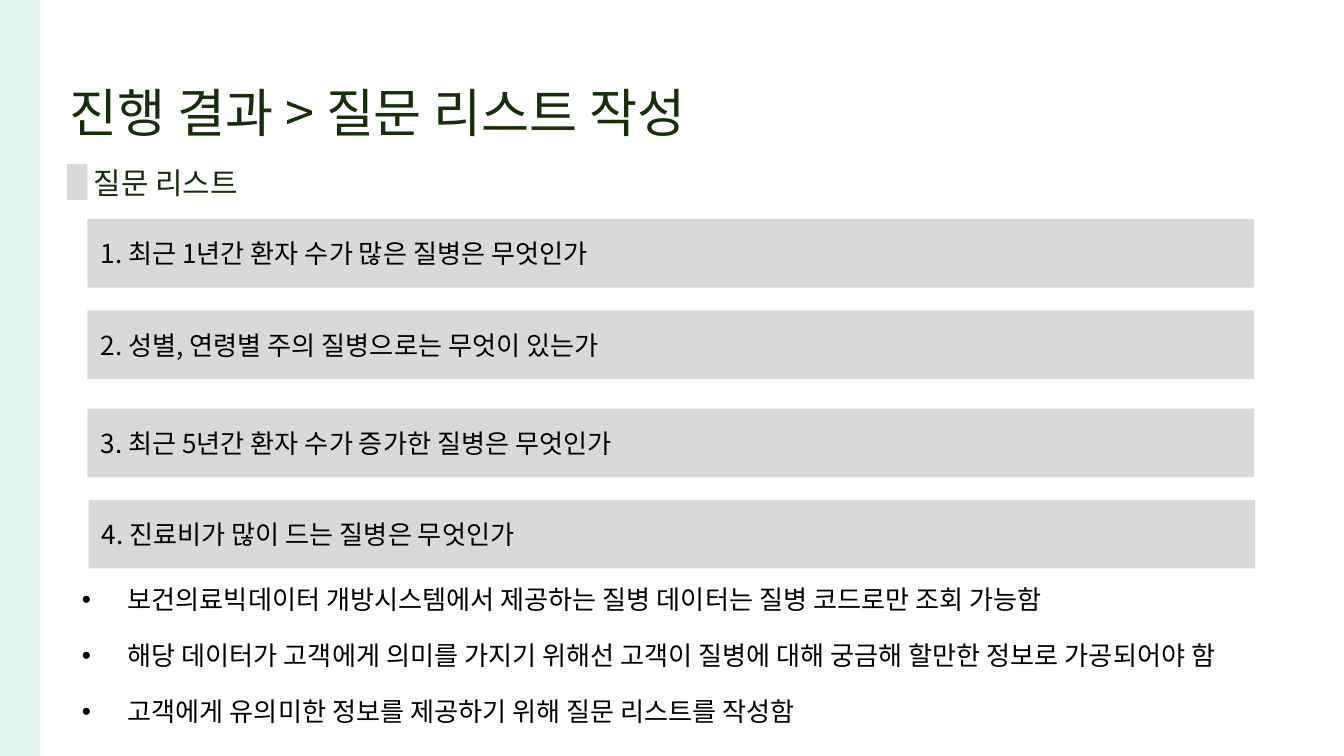
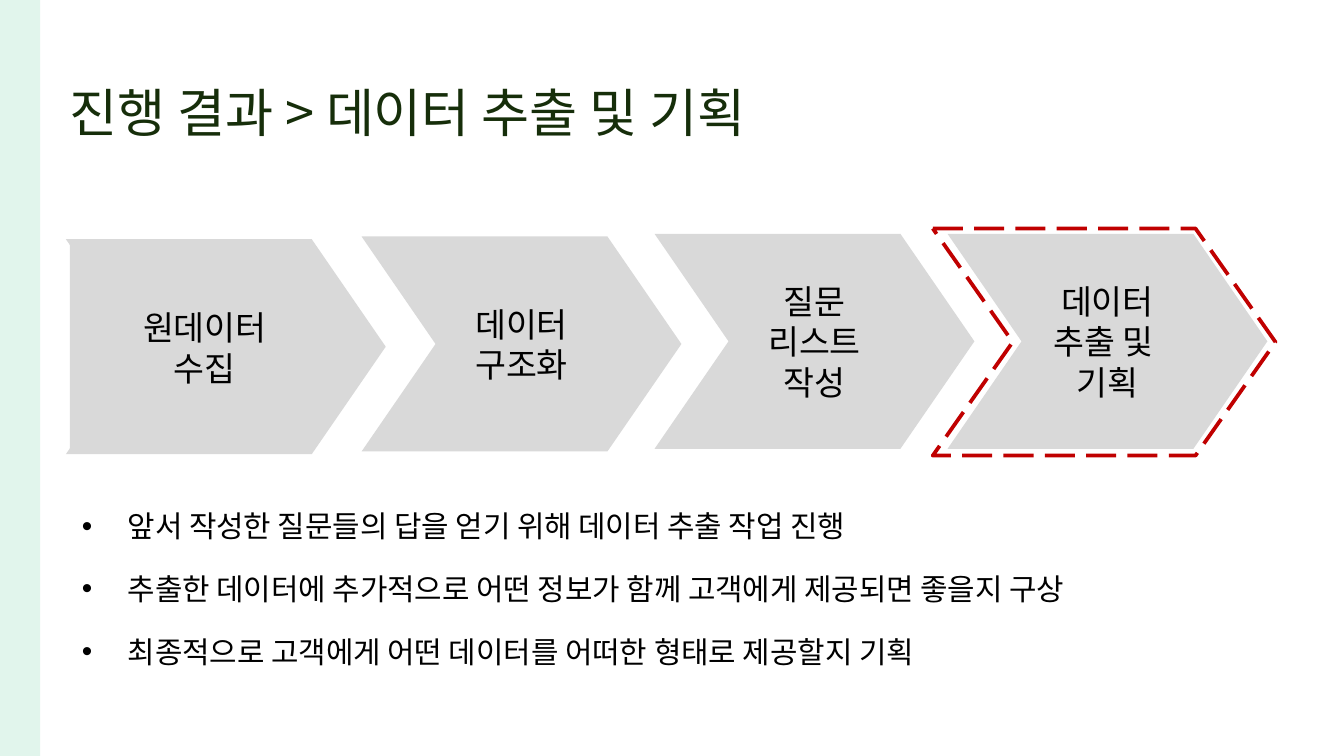
"""Build two progress slides: the question list and the data extraction plan."""
from lxml.etree import SubElement
from pptx import Presentation
from pptx.dml.color import RGBColor
from pptx.enum.dml import MSO_LINE
from pptx.enum.shapes import MSO_SHAPE
from pptx.enum.text import MSO_ANCHOR, MSO_AUTO_SIZE, PP_ALIGN
from pptx.oxml.ns import qn
from pptx.util import Inches, Pt

COLORS = {"band": "D8F2E6", "heading": "162E0A", "panel": "D9D9D9", "text": "000000", "focus": "C00000"}
FONT = "Noto Sans CJK KR"


def add_panel(page, kind, left, top, width, height, color="panel"):
    box = page.shapes.add_shape(kind, Inches(left), Inches(top), Inches(width), Inches(height))
    box.shadow.inherit = False
    box.fill.solid()
    box.fill.fore_color.rgb = RGBColor.from_string(COLORS[color])
    box.line.fill.background()
    return box


def write_lines(box, lines, size, color="text", align=PP_ALIGN.LEFT, anchor=MSO_ANCHOR.MIDDLE):
    frame = box.text_frame
    frame.word_wrap = True
    frame.auto_size = MSO_AUTO_SIZE.NONE
    frame.vertical_anchor = anchor
    for number, line in enumerate(lines):
        para = frame.add_paragraph() if number else frame.paragraphs[0]
        para.alignment = align
        para.space_before = Pt(0)
        span = para.add_run()
        span.text = line
        span.font.size = Pt(size)
        span.font.color.rgb = RGBColor.from_string(COLORS[color])
        span.font.name = FONT
        SubElement(span.font._element, qn("a:ea"), typeface=FONT)


deck = Presentation()
deck.slide_width = Inches(10)
deck.slide_height = deck.slide_width * 9 // 16
layout = deck.slide_layouts[1]

contents = [
    ("진행 결과 > 질문 리스트 작성", 4.29, 1.18, 14, 13.2, [
        "보건의료빅데이터 개방시스템에서 제공하는 질병 데이터는 질병 코드로만 조회 가능함",
        "해당 데이터가 고객에게 의미를 가지기 위해선 고객이 질병에 대해 궁금해 할만한 정보로 가공되어야 함",
        "고객에게 유의미한 정보를 제공하기 위해 질문 리스트를 작성함"]),
    ("진행 결과 > 데이터 추출 및 기획", 3.73, 1.31, 16, 14.4, [
        "앞서 작성한 질문들의 답을 얻기 위해 데이터 추출 작업 진행",
        "추출한 데이터에 추가적으로 어떤 정보가 함께 고객에게 제공되면 좋을지 구상",
        "최종적으로 고객에게 어떤 데이터를 어떠한 형태로 제공할지 기획"]),
]
pages = []
for heading, top, height, size, gap, points in contents:
    page = deck.slides.add_slide(layout)
    pages.append(page)
    title, body = page.placeholders
    title.left, title.top, title.width, title.height = Inches(0.42), Inches(0.46), Inches(7.97), Inches(0.74)
    write_lines(title, [heading], 28, "heading")
    body.left, body.top, body.width, body.height = Inches(0.51), Inches(top), Inches(8.98), Inches(height)
    write_lines(body, points, size, anchor=MSO_ANCHOR.TOP)
    for number, para in enumerate(body.text_frame.paragraphs):
        para.space_before = Pt(gap if number else 0)
        properties = para._p.get_or_add_pPr()
        properties.set("marL", str(Inches(0.34)))
        properties.set("indent", str(-Inches(0.34)))

question_page, process_page = pages

band = add_panel(question_page, MSO_SHAPE.RECTANGLE, 0, 0, 0.3, deck.slide_height.inches, "band")
SubElement(band.element.find(".//" + qn("a:srgbClr")), qn("a:alpha"), val="75000")
layout.shapes.element.append(band.element)

questions = [
    (0.65, 1.63, "1. 최근 1년간 환자 수가 많은 질병은 무엇인가"),
    (0.65, 2.31, "2. 성별, 연령별 주의 질병으로는 무엇이 있는가"),
    (0.65, 3.04, "3. 최근 5년간 환자 수가 증가한 질병은 무엇인가"),
    (0.66, 3.72, "4. 진료비가 많이 드는 질병은 무엇인가"),
]
for left, top, question in questions:
    box = add_panel(question_page, MSO_SHAPE.RECTANGLE, left, top, 8.68, 0.51)
    write_lines(box, [question], 14)

label = question_page.shapes.add_textbox(Inches(0.6), Inches(1.17), Inches(1.6), Inches(0.38))
write_lines(label, ["질문 리스트"], 16, "heading")
add_panel(question_page, MSO_SHAPE.RECTANGLE, 0.5, 1.22, 0.15, 0.27)

steps = [
    (2.69, 1.76, ["데이터", "구조화"]),
    (4.87, 1.74, ["질문 리스트", "작성"]),
    (7.05, 1.74, ["데이터 추출 및 ", "기획"]),
    (0.49, 1.78, []),
]
for left, top, lines in steps:
    step = add_panel(process_page, MSO_SHAPE.CHEVRON, left, top, 2.38, 1.6)
    step.adjustments[0] = 0.344
    write_lines(step, lines, 18, align=PP_ALIGN.CENTER)

add_panel(process_page, MSO_SHAPE.RECTANGLE, 0.52, 1.78, 0.79, 1.59)
first_label = process_page.shapes.add_textbox(Inches(0.96), Inches(2.23), Inches(1.13), Inches(0.71))
write_lines(first_label, ["원데이터", "수집"], 18, align=PP_ALIGN.CENTER)

focus = add_panel(process_page, MSO_SHAPE.CHEVRON, 6.94, 1.7, 2.55, 1.69)
focus.adjustments[0] = 0.352
focus.fill.background()
focus.line.color.rgb = RGBColor.from_string(COLORS["focus"])
focus.line.width = Pt(2)
focus.line.dash_style = MSO_LINE.LONG_DASH

deck.save("out.pptx")
